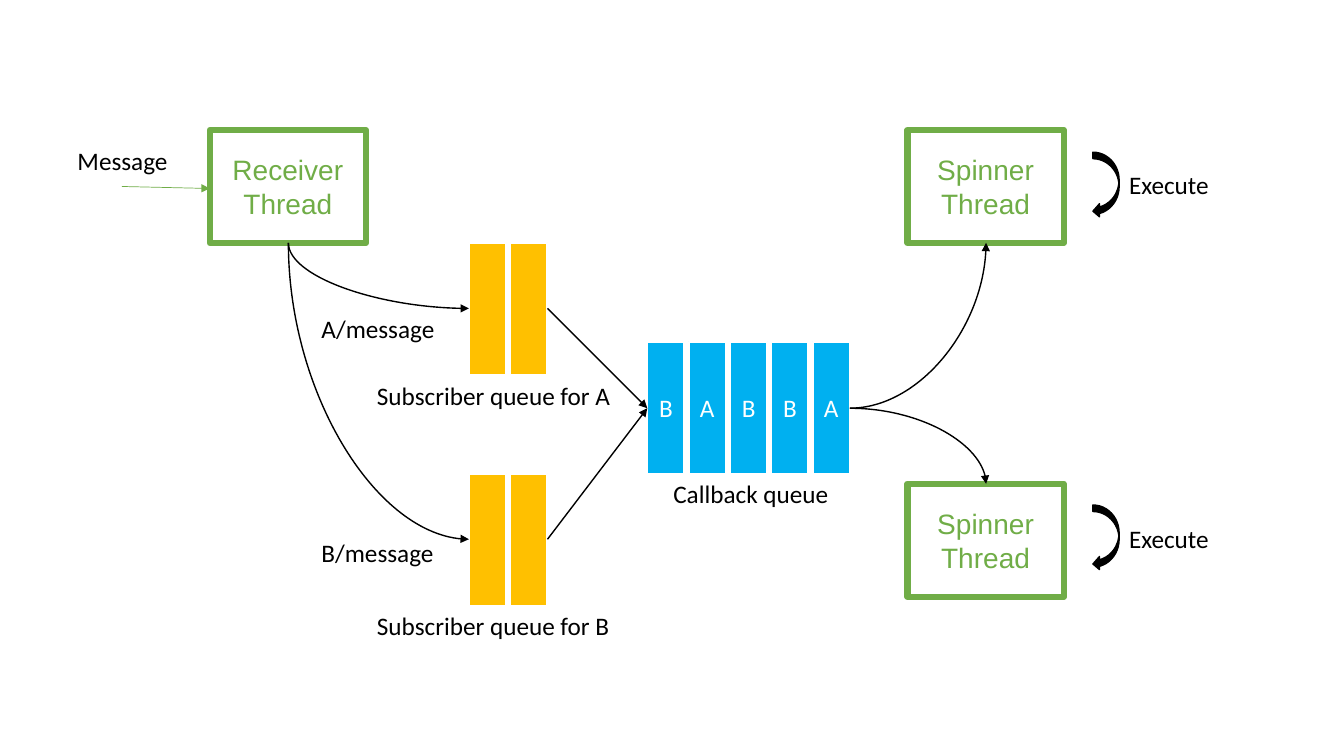
from lxml import etree
from pptx import Presentation
from pptx.dml.color import RGBColor
from pptx.enum.shapes import MSO_CONNECTOR, MSO_SHAPE
from pptx.enum.text import MSO_ANCHOR, MSO_AUTO_SIZE, PP_ALIGN
from pptx.oxml.ns import qn
from pptx.util import Inches, Pt

RECTANGLE, LOOP_ARROW = MSO_SHAPE.RECTANGLE, MSO_SHAPE.CURVED_LEFT_ARROW
STRAIGHT, CURVE = MSO_CONNECTOR.STRAIGHT, MSO_CONNECTOR.CURVE
COLORS = {"thread": "70AD47", "subscriber": "FFC000", "callback": "00B0F0",
          "white": "FFFFFF", "black": "000000"}
THREAD_WIDTH, THREAD_HEIGHT = 1.55, 1.12
CELL_WIDTH, CELL_HEIGHT, CELL_STEP = 0.37, 1.31, 0.41

presentation = Presentation()
presentation.slide_width, presentation.slide_height = Inches(13.33), Inches(7.5)
slide = presentation.slides.add_slide(presentation.slide_layouts[6])


def add_box(kind, box, fill, line, line_width, text="", size=18, font="Calibri", color="white"):
    shape = slide.shapes.add_shape(kind, *map(Inches, box))
    shape.shadow.inherit = False
    shape.fill.solid()
    shape.fill.fore_color.rgb = RGBColor.from_string(COLORS[fill])
    shape.line.color.rgb = RGBColor.from_string(COLORS[line])
    shape.line.width = Pt(line_width)
    if text:
        shape.text_frame.vertical_anchor = MSO_ANCHOR.MIDDLE
        paragraph = shape.text_frame.paragraphs[0]
        paragraph.text, paragraph.alignment = text, PP_ALIGN.CENTER
        for name, value in {"size": Pt(size), "name": font}.items():
            setattr(paragraph.font, name, value)
        paragraph.font.color.rgb = RGBColor.from_string(COLORS[color])


def add_arrow(start, end, color="black", width=1, bend=None):
    (x1, y1), (x2, y2) = start, end
    if bend == "down first":
        # The box is laid on its side, then turned about its centre
        middle_x, middle_y = (x1 + x2) / 2, (y1 + y2) / 2
        half_width, half_height = (y2 - y1) / 2, (x2 - x1) / 2
        x1, x2 = middle_x + half_width, middle_x - half_width
        y1, y2 = middle_y - half_height, middle_y + half_height
    connector = slide.shapes.add_connector(
        CURVE if bend else STRAIGHT, *map(Inches, (x1, y1, x2, y2)))
    connector.line.color.rgb = RGBColor.from_string(COLORS[color])
    connector.line.width = Pt(width)
    properties = connector._element.spPr
    if bend:
        properties.find(qn("a:prstGeom")).set("prst", "curvedConnector2")
    if bend == "down first":
        properties.find(qn("a:xfrm")).set("rot", "16200000")
    etree.SubElement(properties.find(qn("a:ln")), qn("a:tailEnd")).set("type", "triangle")
    etree.SubElement(properties, qn("a:effectLst"))


# Threads
for text, left, top in [("Receiver Thread", 2.08, 1.29), ("Spinner Thread", 9, 1.29),
                        ("Spinner Thread", 9, 4.8)]:
    add_box(RECTANGLE, (left, top, THREAD_WIDTH, THREAD_HEIGHT), "white", "thread", 4.5,
            text, 20, "Arial", "thread")

# Queues, one cell per letter
for left, top, fill, cells in [(4.65, 2.41, "subscriber", ["", ""]),
                               (4.65, 4.7, "subscriber", ["", ""]),
                               (6.42, 3.39, "callback", "BABBA")]:
    for index, letter in enumerate(cells):
        add_box(RECTANGLE, (left + index * CELL_STEP, top, CELL_WIDTH, CELL_HEIGHT),
                fill, "white", 1.5, letter)

# Execution loops
for top in (1.51, 5.01):
    add_box(LOOP_ARROW, (10.84, top, 0.26, 0.65), "black", "black", 1)

# Message flow
add_arrow((1.21, 1.85), (2.08, 1.87), "thread", 0.5)
for queue_middle in (3.06, 5.35):
    add_arrow((2.86, 2.41), (4.65, queue_middle), bend="down first")
    add_arrow((5.43, queue_middle), (6.42, 4.05))
for spinner_edge in (2.41, 4.8):
    add_arrow((8.43, 4.05), (9.78, spinner_edge), bend="across first")

# Labels
for text, left, top, width in [
        ("Message", 0.67, 1.39, 1.22),
        ("A/message", 3.09, 3.06, 1.44),
        ("B/message", 3.09, 5.28, 1.44),
        ("Subscriber queue for A", 3.64, 3.72, 2.73),
        ("Subscriber queue for B", 3.64, 6.01, 2.91),
        ("Callback queue", 6.58, 4.7, 1.8),
        ("Execute", 11.1, 1.63, 1.04),
        ("Execute", 11.1, 5.14, 1.04)]:
    label = slide.shapes.add_textbox(*map(Inches, (left, top, width, 0.4)))
    label.text_frame.word_wrap = True
    label.text_frame.auto_size = MSO_AUTO_SIZE.SHAPE_TO_FIT_TEXT
    paragraph = label.text_frame.paragraphs[0]
    paragraph.text = text
    for name, value in {"size": Pt(18), "name": "Calibri"}.items():
        setattr(paragraph.font, name, value)
    paragraph.font.color.rgb = RGBColor.from_string(COLORS["black"])

presentation.save("out.pptx")
